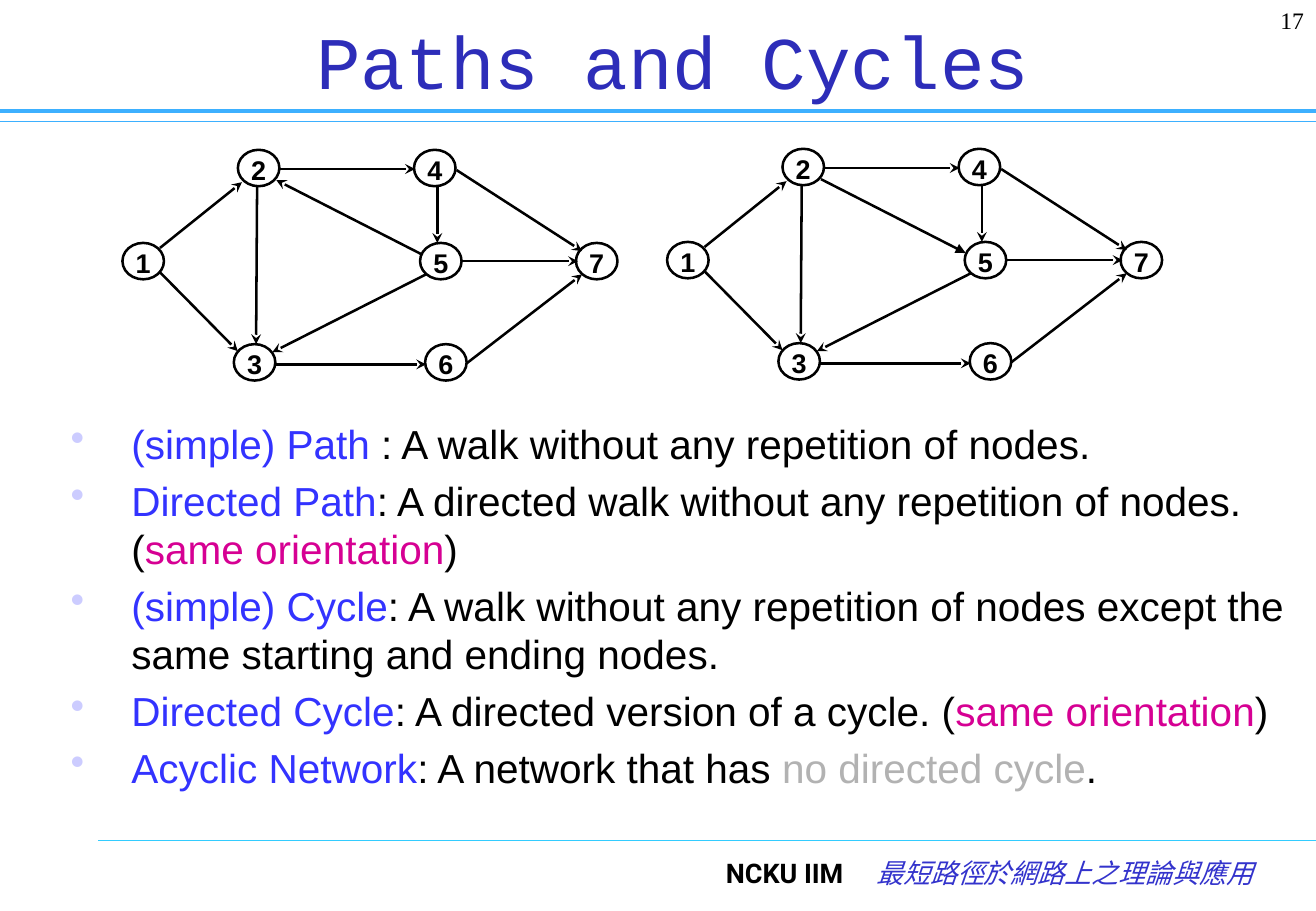
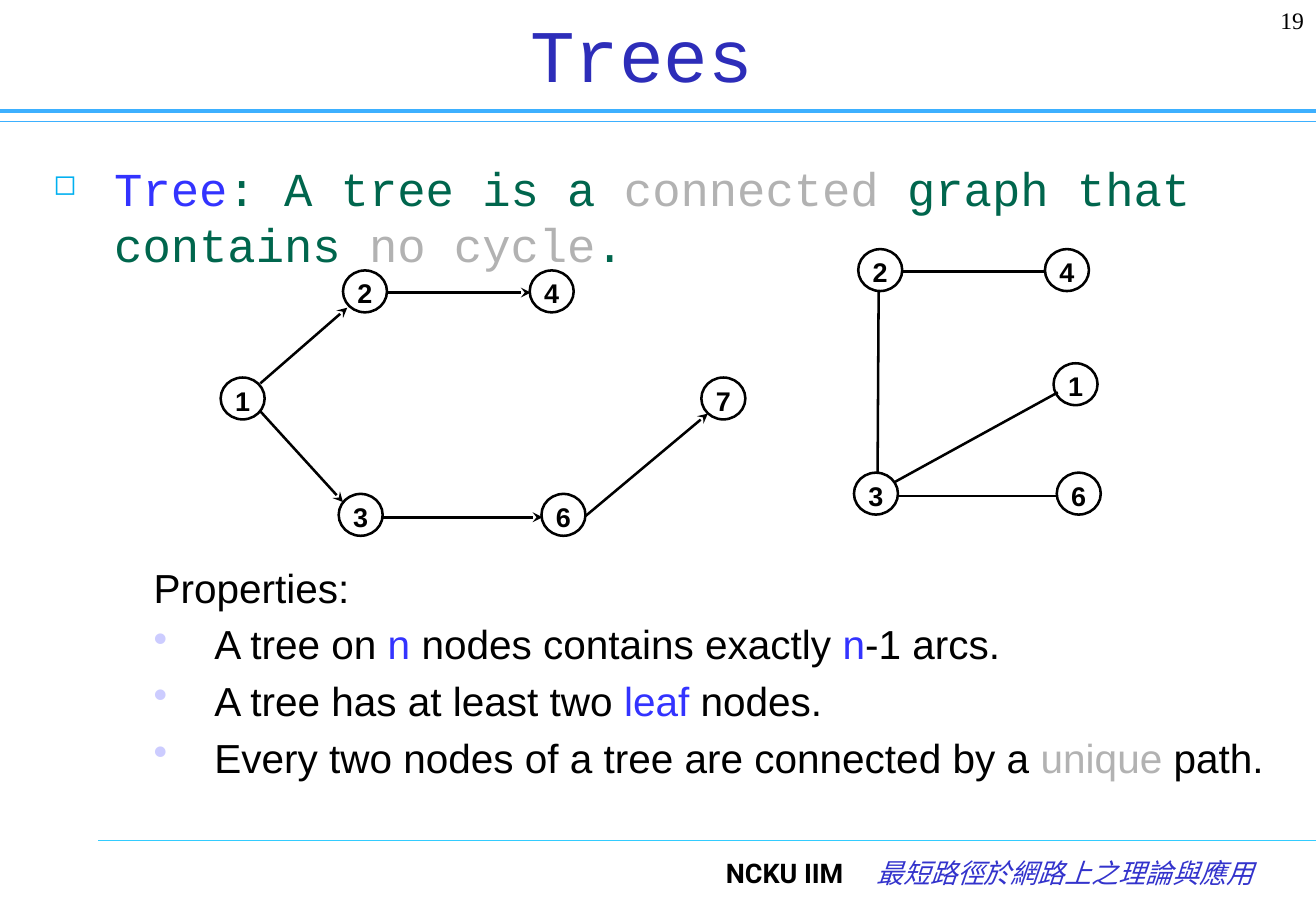
"""Build two slides on paths, cycles and trees in directed networks."""
from lxml.etree import SubElement
from pptx import Presentation
from pptx.dml.color import RGBColor
from pptx.enum.shapes import MSO_CONNECTOR, MSO_SHAPE
from pptx.enum.text import MSO_ANCHOR, PP_ALIGN
from pptx.oxml.ns import qn
from pptx.util import Inches, Pt

BLACK, BLUE, GREEN, GREY, PINK = "000000", "3333FF", "00664D", "B2B2B2", "D60093"
WHITE, TITLE, RULE, FOOTER_RULE, FOOTER = "FFFFFF", "2D2DB9", "3DB0FF", "33CCFF", "3333CC"
DOT = ("•", "CCCCFF", 100)
SQUARE = ("◻", "00B0F0", 60)

presentation = Presentation()
presentation.slide_width = Inches(10.83)
presentation.slide_height = Inches(7.5)
COLUMN = presentation.slide_width / 130
ROW = presentation.slide_height / 90


def add_text(slide, box, paragraphs, font, size, align=PP_ALIGN.LEFT,
             anchor=MSO_ANCHOR.TOP, bold=False, italic=False):
    """Place paragraphs, each a bullet and its coloured runs, in a box of columns and rows."""
    left, top, width, height = box
    shape = slide.shapes.add_textbox(int(left * COLUMN), int(top * ROW),
                                     int(width * COLUMN), int(height * ROW))
    frame = shape.text_frame
    frame.word_wrap = True
    frame.vertical_anchor = anchor
    for index, (bullet, runs) in enumerate(paragraphs):
        paragraph = frame.paragraphs[0] if index == 0 else frame.add_paragraph()
        paragraph.alignment = align
        if bullet:
            mark, mark_color, mark_size = bullet
            properties = paragraph._p.get_or_add_pPr()
            properties.set("marL", str(Inches(0.5)))
            properties.set("indent", str(-Inches(0.5)))
            fill = SubElement(properties, qn("a:buClr"))
            SubElement(fill, qn("a:srgbClr"), val=mark_color)
            SubElement(properties, qn("a:buSzPct"), val=str(mark_size * 1000))
            SubElement(properties, qn("a:buChar"), char=mark)
        if index:
            paragraph.space_before = Pt(size * 0.2)
        for text, color in runs:
            if text.startswith("\n"):
                paragraph.add_line_break()
            run = paragraph.add_run()
            run.text = text.lstrip("\n")
            run.font.name = font
            run.font.size = Pt(size)
            run.font.bold = bold
            run.font.italic = italic
            run.font.color.rgb = RGBColor.from_string(color)


def add_line(slide, ends, color, width, arrow=None):
    """Draw a straight line between two grid points, with an optional arrowhead at its end."""
    x1, y1, x2, y2 = ends
    line = slide.shapes.add_connector(MSO_CONNECTOR.STRAIGHT, int(x1 * COLUMN), int(y1 * ROW),
                                      int(x2 * COLUMN), int(y2 * ROW))
    line.line.color.rgb = RGBColor.from_string(color)
    line.line.width = Pt(width)
    if arrow:
        SubElement(line.line._get_or_add_ln(), qn("a:tailEnd"), type=arrow)
    SubElement(line._element.spPr, qn("a:effectLst"))


NODE_WIDTH, NODE_HEIGHT = 4.1, 3.6
NODES = {"1": (0, 0), "2": (11.4, -9.2), "3": (11, 10), "4": (28.8, -9.2),
         "5": (29.4, 0), "6": (29.9, 10), "7": (44.8, 0), "1 inside": (29.6, 0.6)}
ARCS = {"1-2": (3.7, 0.5, 11.8, -6), "1-3": (3.7, 2.9, 11.4, 10.7),
        "2-3": (13.3, -5.5, 13.2, 10), "2-4": (15.4, -7.3, 28.9, -7.3),
        "3-6": (15.1, 12, 30, 12), "6-7": (34, 11.9, 45.4, 3.1),
        "5-7": (33.4, 1.8, 45, 1.8), "4-7": (33, -7.2, 45.4, 0.8),
        "4-5": (31.1, -5.5, 31.1, 0), "5-2": (29.5, 1.1, 15.2, -6.2),
        "2-5": (15.2, -6.2, 29.5, 1.1), "5-3": (30, 3.1, 14.8, 10.8)}
NETWORK_NODES = ["1", "2", "3", "4", "5", "6", "7"]
NETWORK_ARCS = ["1-2", "1-3", "2-3", "2-4", "3-6", "6-7", "5-7", "4-7", "4-5", "5-3"]
LARGE = (1.06, 1.15)

pages = [
    {"number": "17", "title": "Paths and Cycles", "title_box": (13.8, 0, 105.4, 11.9),
     "texts": [((5.8, 40.8, 124.2, 41.4), "Arial", 24, [
         (DOT, [("(simple) Path", BLUE), (" : A walk without any repetition of nodes.", BLACK)]),
         (DOT, [("Directed Path", BLUE),
                (": A directed walk without any repetition of nodes.", BLACK),
                ("\n(", BLACK), ("same orientation", PINK), (")", BLACK)]),
         (DOT, [("(simple) Cycle", BLUE),
                (": A walk without any repetition of nodes except the same starting "
                 "and ending nodes.", BLACK)]),
         (DOT, [("Directed Cycle", BLUE), (": A directed version of a cycle. (", BLACK),
                ("same orientation", PINK), (")", BLACK)]),
         (DOT, [("Acyclic Network", BLUE), (": A network that has ", BLACK),
                ("no directed cycle", GREY), (".", BLACK)])])],
     "graphs": [((12.1, 24), (1, 1), NETWORK_NODES, NETWORK_ARCS + ["5-2"], "stealth"),
                ((65.9, 23.9), (1, 1), NETWORK_NODES, NETWORK_ARCS + ["2-5"], "stealth")]},
    {"number": "19", "title": "Trees", "title_box": (3.5, 0, 119.8, 10.4),
     "texts": [((4.1, 15.1, 125.9, 7.7), "Courier New", 28, [
         (SQUARE, [("Tree", BLUE), (": A tree is a ", GREEN), ("connected", GREY),
                   (" graph that contains ", GREEN), ("no cycle", GREY), (".", GREEN)])]),
         ((14, 55, 114.6, 23.2), "Arial", 24, [
             (None, [("Properties:", BLACK)]),
             (DOT, [("A tree on ", BLACK), ("n", BLUE), (" nodes contains exactly ", BLACK),
                    ("n", BLUE), ("-1 arcs.", BLACK)]),
             (DOT, [("A tree has at least two ", BLACK), ("leaf", BLUE), (" nodes.", BLACK)]),
             (DOT, [("Every two nodes of a tree are connected by a ", BLACK),
                    ("unique", GREY), (" path.", BLACK)])])],
     "graphs": [((21.8, 37.3), LARGE, ["1", "2", "3", "4", "6", "7"],
                 ["1-2", "1-3", "2-4", "3-6", "6-7"], "stealth"),
                ((72.7, 35.2), LARGE, ["2", "3", "4", "6", "1 inside"],
                 ["2-3", "2-4", "3-6", "5-3"], None)]},
]

for page in pages:
    slide = presentation.slides.add_slide(presentation.slide_layouts[6])
    add_text(slide, (58, 84, 26.5, 6), [(None, [("NCKU IIM", BLACK)])],
             "Roboto", 16, PP_ALIGN.RIGHT, bold=True)
    add_text(slide, (84.5, 84, 40.5, 6), [(None, [("最短路徑於網路上之理論與應用", FOOTER)])],
             "Courier New", 16, PP_ALIGN.RIGHT, italic=True)
    add_line(slide, (0, 12, 130, 12), RULE, 0.75)
    add_line(slide, (0, 11, 130, 11), RULE, 2.5)
    add_line(slide, (9.7, 83, 130, 83), FOOTER_RULE, 0.75)
    add_text(slide, (119.2, 0, 10.8, 6), [(None, [(page["number"], BLACK)])],
             "Times New Roman", 14, PP_ALIGN.RIGHT)
    add_text(slide, page["title_box"], [(None, [(page["title"], TITLE)])],
             "Courier New", 44, PP_ALIGN.CENTER, MSO_ANCHOR.MIDDLE)
    for box, font, size, paragraphs in page["texts"]:
        add_text(slide, box, paragraphs, font, size)

    for (left, top), (wide, high), nodes, arcs, arrow in page["graphs"]:
        for name in nodes:
            x, y = NODES[name]
            node = slide.shapes.add_shape(
                MSO_SHAPE.OVAL, int((left + x * wide) * COLUMN), int((top + y * high) * ROW),
                int(NODE_WIDTH * wide * COLUMN), int(NODE_HEIGHT * high * ROW))
            node.shadow.inherit = False
            node.fill.solid()
            node.fill.fore_color.rgb = RGBColor.from_string(WHITE)
            node.line.color.rgb = RGBColor.from_string(BLACK)
            node.line.width = Pt(1.5)
            frame = node.text_frame
            frame.margin_left = frame.margin_right = frame.margin_bottom = 0
            frame.margin_top = Inches(0.03)
            frame.word_wrap = False
            frame.vertical_anchor = MSO_ANCHOR.MIDDLE
            frame.text = name[0]
            paragraph = frame.paragraphs[0]
            paragraph.alignment = PP_ALIGN.CENTER
            label = paragraph.runs[0].font
            label.name, label.size, label.bold = "Arial", Pt(16), True
            label.color.rgb = RGBColor.from_string(BLACK)
        for arc in arcs:
            x1, y1, x2, y2 = ARCS[arc]
            ends = (left + x1 * wide, top + y1 * high, left + x2 * wide, top + y2 * high)
            add_line(slide, ends, BLACK, 1.5, "triangle" if arc == "2-5" else arrow)

presentation.save("out.pptx")
